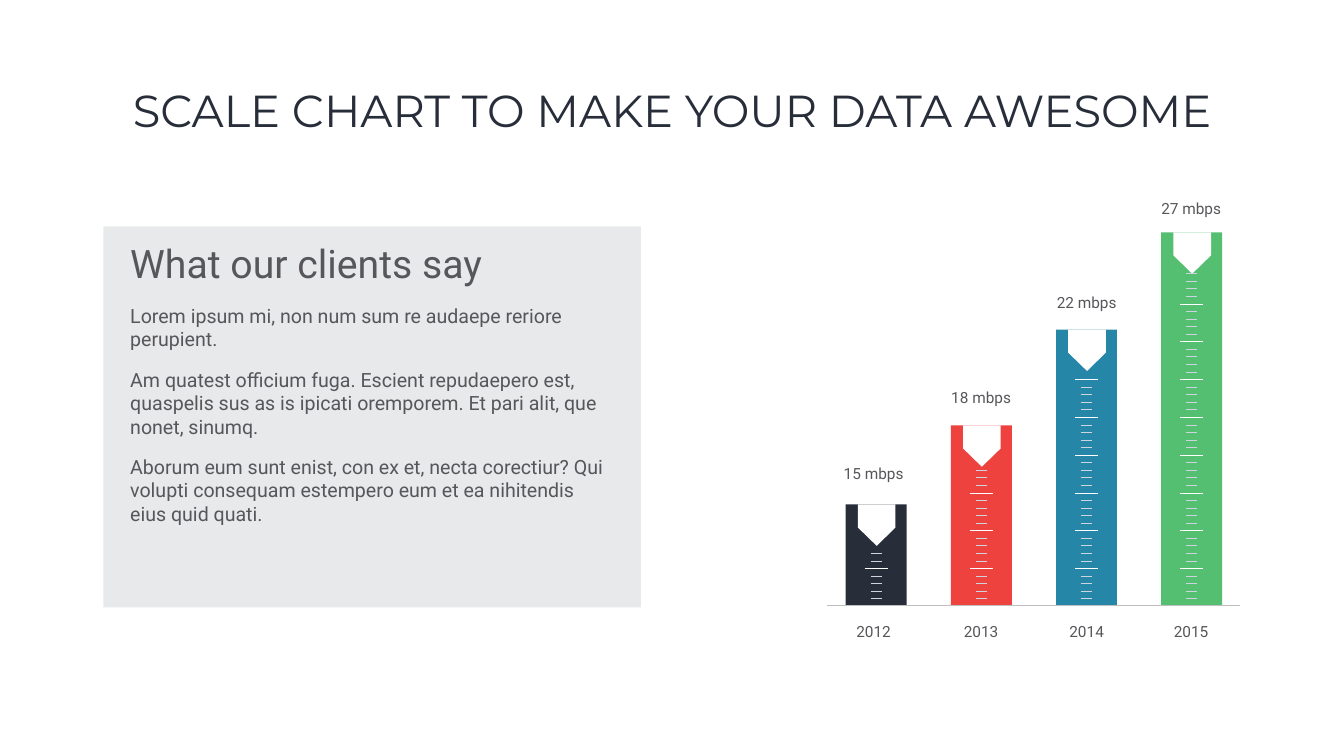
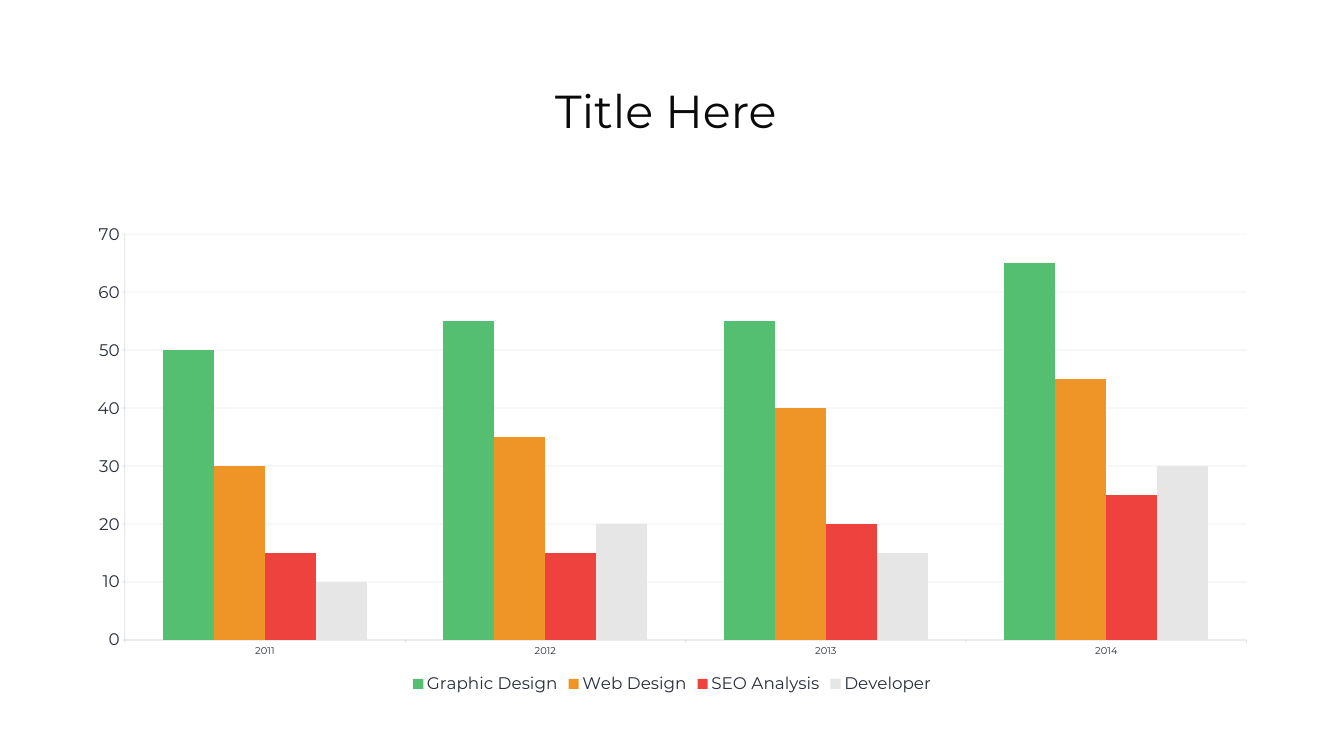
"""Builds two data slides: a scale chart with a text panel and a clustered column chart."""
import dataclasses

import lxml.etree
import pptx
import pptx.chart.data
import pptx.dml.color
import pptx.enum.chart
import pptx.enum.shapes
import pptx.enum.text
import pptx.oxml.ns
import pptx.util


@dataclasses.dataclass(frozen=True)
class Theme:
    """Colours, fonts and type sizes of the deck."""

    navy: str = "272E3A"
    blue: str = "2686A7"
    red: str = "ED423D"
    green: str = "54BE71"
    orange: str = "EF9527"
    silver: str = "E7E6E6"
    white: str = "FFFFFF"
    black: str = "0A0A0A"
    grey: str = "57565A"
    baseline: str = "BFBFBF"
    tick: str = "CED4DE"
    head_font: str = "Montserrat"
    body_font: str = "Roboto"
    long_title: int = 64
    short_title: int = 66
    panel_head: int = 56
    panel_body: int = 28
    label: int = 22
    chart_base: int = 18
    axis_value: int = 24
    axis_category: int = 14


class DeckBuilder:
    """Draws elements on the current page, placed on a grid of 80 columns and 45 rows."""

    def __init__(self, theme):
        """Open a 16:9 deck."""
        self.theme = theme
        self.deck = pptx.Presentation()
        self.deck.slide_width = pptx.util.Inches(26.67)
        self.deck.slide_height = pptx.util.Inches(15)
        self.page = None

    def column(self, count):
        """Return the width of a number of columns."""
        return pptx.util.Emu(round(self.deck.slide_width * count / 80))

    def row(self, count):
        """Return the height of a number of rows."""
        return pptx.util.Emu(round(self.deck.slide_height * count / 45))

    def place(self, left, top, width, height):
        """Return a grid frame as lengths."""
        return self.column(left), self.row(top), self.column(width), self.row(height)

    def colour(self, value):
        """Return a colour object."""
        return pptx.dml.color.RGBColor.from_string(value)

    def fade(self, properties, percent):
        """Set the opacity of every colour inside an element."""
        for colour in properties.iter(pptx.oxml.ns.qn("a:srgbClr")):
            alpha = lxml.etree.SubElement(colour, pptx.oxml.ns.qn("a:alpha"))
            alpha.set("val", str(percent * 1000))

    def style_font(self, font, size, colour, name):
        """Style a font."""
        font.size = pptx.util.Pt(size)
        font.color.rgb = self.colour(colour)
        font.name = name

    def add_page(self):
        """Start a blank page."""
        self.page = self.deck.slides.add_slide(self.deck.slide_layouts[6])

    def add_span(self, para, text, size, colour, name):
        """Add one styled run."""
        span = para.add_run()
        span.text = text
        self.style_font(span.font, size, colour, name)

    def paint(self, shape, colour):
        """Give a shape a plain fill."""
        shape.fill.solid()
        shape.fill.fore_color.rgb = self.colour(colour)
        shape.line.fill.background()
        shape.shadow.inherit = False

    def add_title(self, text, size, colour):
        """Add the centred page title."""
        box = self.page.shapes.add_textbox(*self.place(5.5, 2.4, 69, 8.7))
        box.text_frame.word_wrap = True
        box.text_frame.vertical_anchor = pptx.enum.text.MSO_ANCHOR.MIDDLE
        para = box.text_frame.paragraphs[0]
        para.alignment = pptx.enum.text.PP_ALIGN.CENTER
        para.line_spacing = 0.9
        self.add_span(para, text, size, colour, self.theme.head_font)

    def add_rectangle(self, left, top, width, height, colour):
        """Add a plain rectangle."""
        shape = self.page.shapes.add_shape(
            pptx.enum.shapes.MSO_SHAPE.RECTANGLE, *self.place(left, top, width, height))
        self.paint(shape, colour)
        return shape

    def add_panel(self, left, top, width, height, heading, texts):
        """Add a tinted panel with a heading and paragraphs."""
        panel = self.add_rectangle(left, top, width, height, self.theme.navy)
        self.fade(panel._element.spPr, 10)
        frame = panel.text_frame
        frame.word_wrap = True
        frame.vertical_anchor = pptx.enum.text.MSO_ANCHOR.TOP
        frame.margin_left = frame.margin_right = self.column(1.6)
        frame.margin_top = frame.margin_bottom = self.row(0.8)
        for index, text in enumerate([heading, *texts]):
            para = frame.add_paragraph() if index else frame.paragraphs[0]
            para.alignment = pptx.enum.text.PP_ALIGN.LEFT
            para.space_after = pptx.util.Pt(24)
            size = self.theme.panel_body if index else self.theme.panel_head
            self.add_span(para, text, size, self.theme.grey, self.theme.body_font)

    def add_label(self, center, top, width, text):
        """Add a one-line label centred on a column."""
        box = self.page.shapes.add_textbox(*self.place(center - width / 2, top, width, 1.4))
        box.text_frame.word_wrap = False
        box.text_frame.auto_size = pptx.enum.text.MSO_AUTO_SIZE.SHAPE_TO_FIT_TEXT
        para = box.text_frame.paragraphs[0]
        para.alignment = pptx.enum.text.PP_ALIGN.CENTER
        self.add_span(para, text, self.theme.label, self.theme.grey, self.theme.body_font)

    def add_rule(self, shapes, left, top, width, colour, weight):
        """Add a horizontal line to a shape collection."""
        x, y = self.column(left), self.row(top)
        rule = shapes.add_connector(
            pptx.enum.shapes.MSO_CONNECTOR.STRAIGHT, x, y, x + self.column(width), y)
        rule.line.color.rgb = self.colour(colour)
        rule.line.width = pptx.util.Pt(weight)
        lxml.etree.SubElement(rule._element.spPr, pptx.oxml.ns.qn("a:effectLst"))

    def add_notch(self, center, top):
        """Add the white pointer at the top of a bar."""
        half, shoulder, tip = 1.12, 1.37, 2.46
        points = [(center - half, top + shoulder), (center, top + tip),
                  (center + half, top + shoulder), (center + half, top), (center - half, top)]
        corners = [(self.column(x), self.row(y)) for x, y in points]
        builder = self.page.shapes.build_freeform(*corners[0])
        builder.add_line_segments(corners[1:], close=True)
        self.paint(builder.convert_to_shape(), self.theme.white)

    def add_scale(self, center, base, count):
        """Add ruler ticks upward from the base, every fifth one long."""
        group = self.page.shapes.add_group_shape()
        for step in range(1, count + 1):
            width, colour, weight = (
                (0.66, self.theme.tick, 1) if step % 5 else (1.39, self.theme.white, 1.05))
            self.add_rule(group.shapes, center - width / 2, base + 0.06 - 0.45 * step,
                          width, colour, weight)

    def style_axis(self, axis, size):
        """Style the line and labels of a chart axis."""
        self.style_font(axis.tick_labels.font, size, self.theme.navy, self.theme.head_font)
        axis.major_tick_mark = pptx.enum.chart.XL_TICK_MARK.OUTSIDE
        axis.format.line.color.rgb = self.colour(self.theme.navy)
        axis.format.line.width = pptx.util.Pt(1)
        self.fade(axis._element.find(pptx.oxml.ns.qn("c:spPr")), 15)

    def add_columns(self, left, top, width, height, categories, series):
        """Add a clustered column chart with a legend below."""
        data = pptx.chart.data.CategoryChartData()
        data.categories = categories
        for name, values, _ in series:
            data.add_series(name, values)
        chart = self.page.shapes.add_chart(
            pptx.enum.chart.XL_CHART_TYPE.COLUMN_CLUSTERED,
            *self.place(left, top, width, height), data).chart
        self.style_font(chart.font, self.theme.chart_base, self.theme.navy, self.theme.head_font)
        chart.has_title = False
        chart.has_legend = True
        chart.legend.position = pptx.enum.chart.XL_LEGEND_POSITION.BOTTOM
        chart.legend.include_in_layout = False
        self.style_font(chart.legend.font, self.theme.axis_value,
                        self.theme.navy, self.theme.head_font)
        self.style_axis(chart.category_axis, self.theme.axis_category)
        axis = chart.value_axis
        self.style_axis(axis, self.theme.axis_value)
        axis.minimum_scale, axis.maximum_scale, axis.major_unit = 0, 70, 10
        grid = axis.major_gridlines.format.line
        grid.color.rgb = self.colour(self.theme.silver)
        grid.width = pptx.util.Pt(1)
        self.fade(axis._element.find(pptx.oxml.ns.qn("c:majorGridlines")), 85)
        plot = chart.plots[0]
        plot.gap_width = 150
        plot.overlap = 0
        plot.vary_by_categories = False
        for bars, (_, _, colour) in zip(plot.series, series):
            bars.format.fill.solid()
            bars.format.fill.fore_color.rgb = self.colour(colour)
            bars.invert_if_negative = False


def build_scale_page(builder):
    """Build the page with the text panel and the ruler bars."""
    theme = builder.theme
    builder.add_page()
    builder.add_title("SCALE CHART TO MAKE YOUR DATA AWESOME", theme.long_title, theme.navy)
    builder.add_panel(6.15, 13.47, 32, 22.68, "What our clients say", [
        "Lorem ipsum mi, non num sum re audaepe reriore perupient.",
        "Am quatest officium fuga. Escient repudaepero est, quaspelis sus as is ipicati "
        "oremporem. Et pari alit, que nonet, sinumq.",
        "Aborum eum sunt enist, con ex et, necta corectiur? Qui volupti consequam "
        "estempero eum et ea nihitendis eius quid quati.",
    ])
    base, bar_width, pitch = 36.03, 3.63, 6.26
    bars = [
        ("2012", "15 mbps", theme.navy, 6, 7, 52, 27.45),
        ("2013", "18 mbps", theme.red, 10.71, 18, 58.4, 22.95),
        ("2014", "22 mbps", theme.blue, 16.41, 30, 64.68, 17.28),
        ("2015", "27 mbps", theme.green, 22.2, 44, 70.9, 11.7),
    ]
    for index, (year, speed, colour, height, ticks, label_center, label_top) in enumerate(bars):
        left = 50.34 + pitch * index
        center = left + bar_width / 2
        builder.add_rectangle(left, base - height, bar_width, height, colour)
        builder.add_notch(center + 0.03, base - height)
        builder.add_scale(center, base, ticks)
        builder.add_label(label_center, 36.9, 2.67, year)
        builder.add_label(label_center, label_top, 4.17, speed)
    builder.add_rule(builder.page.shapes, 49.23, base, 24.57, theme.baseline, 0.75)


def build_column_page(builder):
    """Build the page with the clustered column chart."""
    theme = builder.theme
    builder.add_page()
    builder.add_title("Title Here ", theme.short_title, theme.black)
    builder.add_columns(4.38, 12.75, 71.25, 28.77, ["2011", "2012", "2013", "2014"], [
        ("Graphic Design", (50, 55, 55, 65), theme.green),
        ("Web Design", (30, 35, 40, 45), theme.orange),
        ("SEO Analysis", (15, 15, 20, 25), theme.red),
        ("Developer", (10, 20, 15, 30), theme.silver),
    ])


def main():
    """Build and save the deck."""
    builder = DeckBuilder(Theme())
    build_scale_page(builder)
    build_column_page(builder)
    builder.deck.save("out.pptx")


if __name__ == "__main__":
    main()
